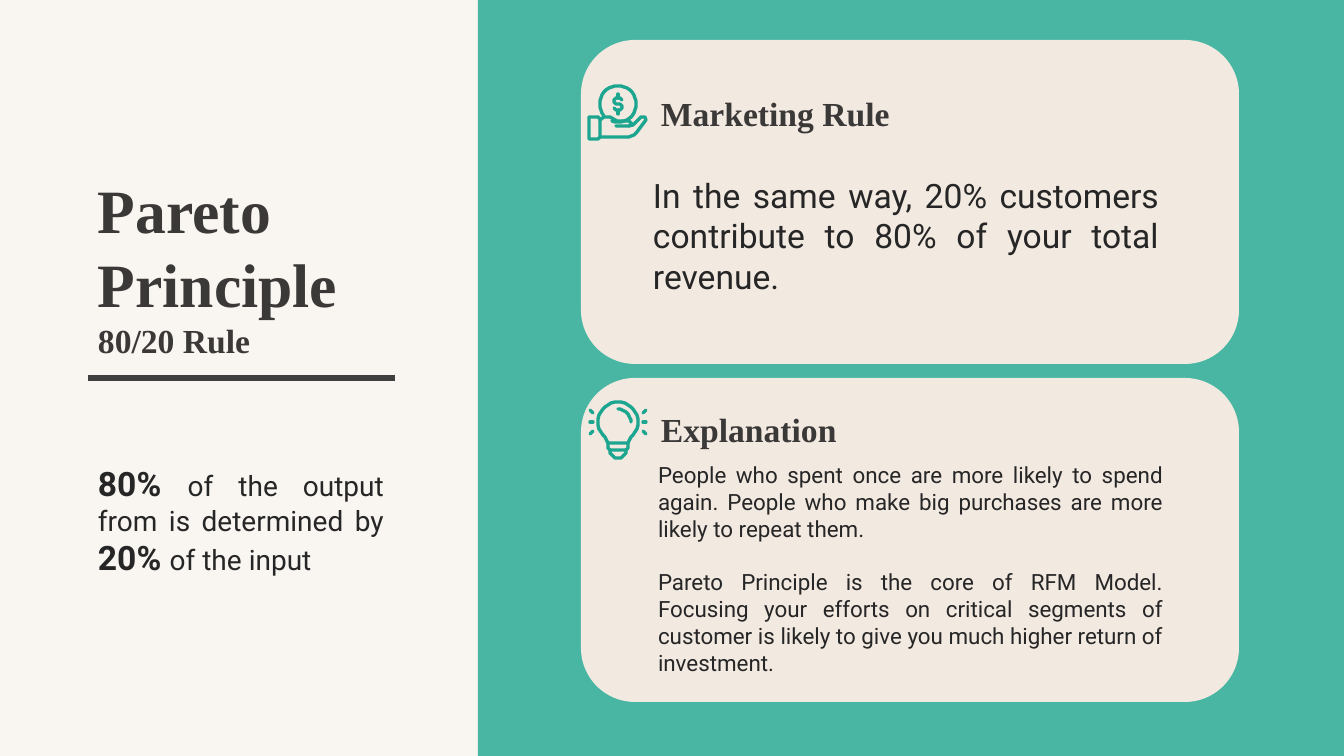
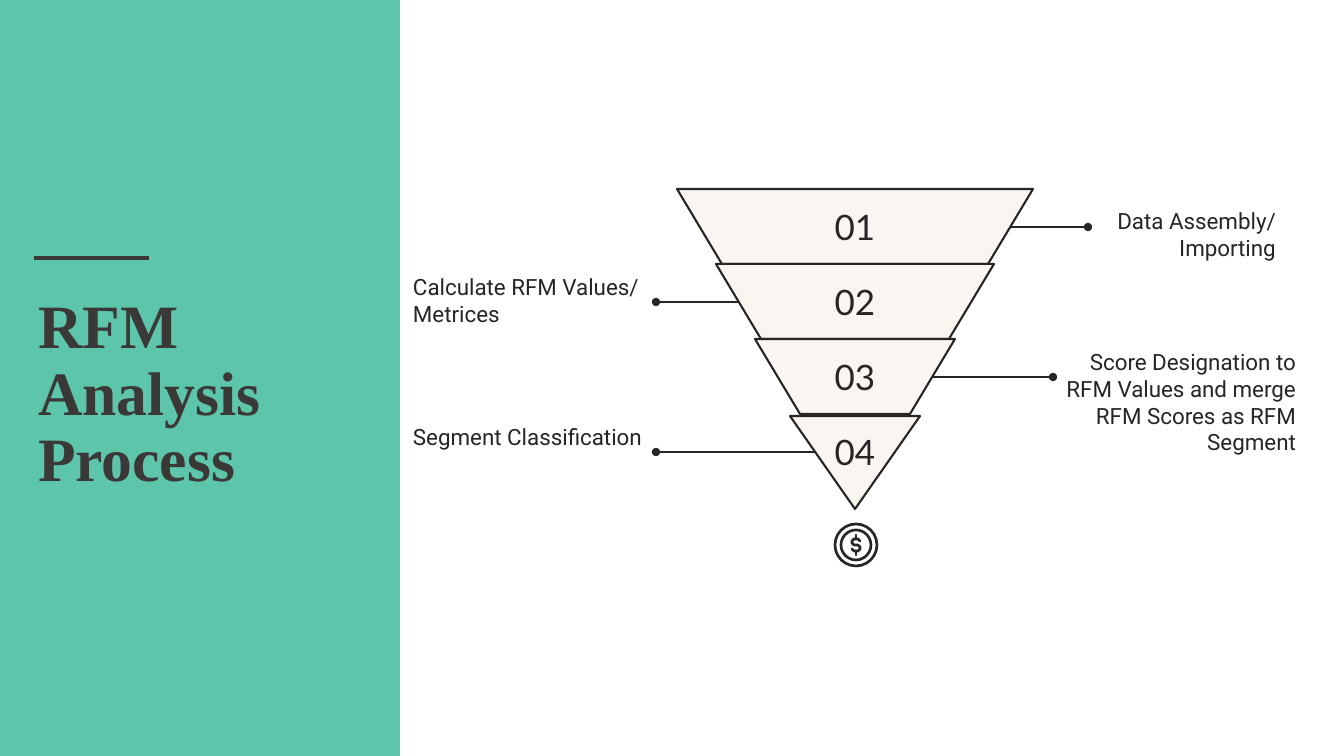
from dataclasses import dataclass
from math import cos, radians, sin
from typing import Callable

from lxml import etree
from pptx import Presentation
from pptx.dml.color import RGBColor
from pptx.enum.shapes import MSO_CONNECTOR, MSO_SHAPE
from pptx.enum.text import MSO_ANCHOR, MSO_AUTO_SIZE, PP_ALIGN
from pptx.oxml.ns import qn
from pptx.slide import Slide
from pptx.util import Emu, Pt

RECTANGLE, ROUNDED = MSO_SHAPE.RECTANGLE, MSO_SHAPE.ROUNDED_RECTANGLE
OVAL, TRIANGLE = MSO_SHAPE.OVAL, MSO_SHAPE.ISOSCELES_TRIANGLE
STRAIGHT = MSO_CONNECTOR.STRAIGHT
LEFT, RIGHT, CENTER, JUSTIFY = (
    PP_ALIGN.LEFT, PP_ALIGN.RIGHT, PP_ALIGN.CENTER, PP_ALIGN.JUSTIFY)
TOP, MIDDLE = MSO_ANCHOR.TOP, MSO_ANCHOR.MIDDLE

WIDTH, HEIGHT = 1344, 756
SCALE = 12192000 / WIDTH

Point = tuple[float, float]
Box = tuple[int, int, int, int]


# Theme
@dataclass(frozen=True)
class Theme:
    cream: str = "F9F6F2"
    white: str = "FFFFFF"
    card: str = "F2E9E1"
    teal: str = "1CA68F"
    mint: str = "35B895"
    heading: str = "3B3838"
    text: str = "262626"
    ink: str = "272625"
    rule: str = "404040"
    title_size: int = 44
    large: int = 24
    medium: int = 20
    small: int = 16
    number_size: int = 25
    outline: float = 1.5
    icon_line: float = 2.4
    coin_line: float = 1.9


THEME = Theme()


@dataclass(frozen=True)
class TextStyle:
    font: str
    size: int
    color: str
    bold: bool = False
    align: PP_ALIGN = LEFT
    anchor: MSO_ANCHOR = TOP
    inset: int = 10
    line_spacing: float = 1.0
    gap: int = 0


TITLE = TextStyle("Times New Roman", THEME.title_size, THEME.heading, True)
SIDE_TITLE = TextStyle("Times New Roman", THEME.title_size, THEME.heading, True,
                       anchor=MIDDLE, line_spacing=0.9)
HEADING = TextStyle("Times New Roman", THEME.large, THEME.heading, True)
LEAD = TextStyle("Roboto", THEME.medium, THEME.text, align=JUSTIFY)
CARD_LARGE = TextStyle("Roboto", THEME.large, THEME.text, align=JUSTIFY)
CARD_SMALL = TextStyle("Roboto", THEME.small, THEME.text, align=JUSTIFY, gap=19)
LABEL_LEFT = TextStyle("Roboto", THEME.small, THEME.text, inset=0)
LABEL_RIGHT = TextStyle("Roboto", THEME.small, THEME.text, align=RIGHT, inset=0)
NUMBER = TextStyle("Lato", THEME.number_size, THEME.ink, align=CENTER, anchor=MIDDLE)


# Drawing helpers
def px(length: float) -> Emu:
    return Emu(round(length * SCALE))


def rgb(color: str) -> RGBColor:
    return RGBColor.from_string(color)


def write(frame, lines: list[str], style: TextStyle) -> None:
    frame.word_wrap = True
    frame.auto_size = MSO_AUTO_SIZE.NONE
    frame.vertical_anchor = style.anchor
    frame.margin_left = frame.margin_right = px(style.inset)
    frame.margin_top = frame.margin_bottom = px(style.inset / 2)
    for index, line in enumerate(lines):
        paragraph = frame.paragraphs[0] if index == 0 else frame.add_paragraph()
        paragraph.text = line
        paragraph.alignment = style.align
        paragraph.line_spacing = style.line_spacing
        paragraph.space_before = Pt(style.gap if index else 0)
        font = paragraph.font
        font.name, font.size, font.bold = style.font, Pt(style.size), style.bold
        font.color.rgb = rgb(style.color)


def add_text(slide: Slide, box: Box, lines: list[str], style: TextStyle) -> None:
    write(slide.shapes.add_textbox(*map(px, box)).text_frame, lines, style)


def fill_placeholder(placeholder, box: Box, lines: list[str], style: TextStyle):
    placeholder.left, placeholder.top, placeholder.width, placeholder.height = map(px, box)
    write(placeholder.text_frame, lines, style)
    return placeholder.text_frame.paragraphs


def paint(shape, fill: str | None, line: str | None = None, width: float = 0) -> None:
    shape.shadow.inherit = False
    if fill:
        shape.fill.solid()
        shape.fill.fore_color.rgb = rgb(fill)
    else:
        shape.fill.background()
    if line:
        shape.line.color.rgb = rgb(line)
        shape.line.width = Pt(width)
    else:
        shape.line.fill.background()


def add_shape(slide: Slide, kind: MSO_SHAPE, box: Box, fill: str | None,
              line: str | None = None, width: float = 0):
    shape = slide.shapes.add_shape(kind, *map(px, box))
    paint(shape, fill, line, width)
    return shape


def add_panel(slide: Slide, box: Box, color: str) -> None:
    panel = add_shape(slide, RECTANGLE, box, color)
    color_element = panel.fill._xPr.find(f".//{qn('a:srgbClr')}")
    etree.SubElement(color_element, qn("a:alpha")).set("val", "80000")
    # Behind the placeholders
    slide.shapes.title._element.addprevious(panel._element)


def add_line(slide: Slide, start: Point, end: Point, color: str, width: float,
             dot: bool = False) -> None:
    line = slide.shapes.add_connector(STRAIGHT, *map(px, (*start, *end)))
    line.line.color.rgb = rgb(color)
    line.line.width = Pt(width)
    if dot:
        etree.SubElement(line.line._get_or_add_ln(), qn("a:headEnd")).set("type", "oval")
    etree.SubElement(line._element.spPr, qn("a:effectLst"))


def add_paths(slide: Slide, paths: list[list[Point]], fill: str | None, line: str,
              width: float, close: bool = False):
    builder = slide.shapes.build_freeform(*paths[0][0], scale=SCALE)
    for index, points in enumerate(paths):
        if index:
            builder.move_to(*points[0])
        builder.add_line_segments(points[1:], close=close)
    shape = builder.convert_to_shape()
    paint(shape, fill, line, width)
    return shape


def set_background(slide: Slide, color: str) -> None:
    slide.background.fill.solid()
    slide.background.fill.fore_color.rgb = rgb(color)


# Icons
def arc(x: int, y: int, radius: int, start: int, end: int) -> list[Point]:
    return [(x + radius * cos(radians(angle)), y + radius * sin(radians(angle)))
            for angle in range(start, end + 1, 10)]


def add_strokes(slide: Slide, strokes: list[list[Point]], color: str,
                width: float = THEME.icon_line) -> None:
    shape = add_paths(slide, strokes, None, color, width)
    line = shape.line._get_or_add_ln()
    line.set("cap", "rnd")
    etree.SubElement(line, qn("a:round"))


def add_dollar(slide: Slide, x: int, y: int, color: str, width: float) -> None:
    curve = [(4, -4), (2, -6), (-2, -6), (-4, -4), (-4, -2), (-2, 0),
             (2, 0), (4, 2), (4, 4), (2, 6), (-2, 6), (-4, 4)]
    strokes = [curve, [(0, -10), (0, -6)], [(0, 6), (0, 10)]]
    moved = [[(x + dx, y + dy) for dx, dy in stroke] for stroke in strokes]
    add_strokes(slide, moved, color, width)


def add_hand_icon(slide: Slide) -> None:
    cuff = [(589, 117), (598, 117), (600, 119), (600, 137), (598, 139), (589, 139), (589, 117)]
    thumb = [(600, 120), (604, 117), (610, 117), (617, 121), (629, 121),
             (632, 124), (629, 126), (616, 126)]
    fingers = [(629, 126), (633, 125), (641, 117), (645, 117), (646, 120),
               (637, 132), (634, 135), (629, 137), (600, 137)]
    coin = arc(618, 104, 18, -220, 110)
    add_strokes(slide, [coin, cuff, thumb, fingers], THEME.teal)
    add_dollar(slide, 618, 104, THEME.teal, THEME.icon_line)


def add_bulb_icon(slide: Slide) -> None:
    x, y = 618, 422
    glass = [(608, 443), *arc(x, y, 20, 130, 410), (628, 443)]
    base = [(608, 443), (608, 448), (610, 450), (626, 450), (628, 448), (628, 443), (608, 443)]
    add_strokes(slide, [glass, base, arc(x, 450, 8, 0, 180)], THEME.teal)
    add_strokes(slide, [arc(x, y, 13, -90, 0)], THEME.teal)
    for side in (-1, 1):
        for inner, outer in ((0, 0), (-9, -12), (9, 12)):
            ray = [(x + side * 25, y + inner), (x + side * 28, y + outer)]
            add_strokes(slide, [ray], THEME.teal)


def add_coin_icon(slide: Slide) -> None:
    x, y = 856, 545
    for radius in (21, 15):
        box = (x - radius, y - radius, 2 * radius, 2 * radius)
        add_shape(slide, OVAL, box, None, THEME.ink, THEME.coin_line)
    add_dollar(slide, x, y, THEME.ink, THEME.coin_line)


# Repeated elements
@dataclass(frozen=True)
class Card:
    top: int
    heading: str
    heading_top: int
    body_box: Box
    body: list[str]
    body_style: TextStyle
    icon: Callable[[Slide], None]


@dataclass(frozen=True)
class Step:
    lines: list[str]
    label_box: Box
    style: TextStyle
    dot_x: int
    tier_x: int


CARDS = [
    Card(40, "Marketing Rule", 88, (643, 170, 526, 132),
         ["In the same way, 20% customers contribute to 80% of your total revenue."],
         CARD_LARGE, add_hand_icon),
    Card(378, "Explanation", 404, (648, 456, 525, 228),
         ["People who spent once are more likely to spend again. "
          "People who make big purchases are more likely to repeat them.",
          "Pareto Principle is the core of RFM Model. Focusing your efforts on critical "
          "segments of customer is likely to give you much higher return of investment."],
         CARD_SMALL, add_bulb_icon),
]
STEPS = [
    Step(["Data Assembly/ Importing"], (1109, 207, 167, 58), LABEL_RIGHT, 1088, 1010),
    Step(["Calculate RFM Values/", "Metrices"], (413, 273, 243, 58), LABEL_LEFT, 656, 740),
    Step(["Score Designation to RFM Values and merge RFM Scores as RFM Segment"],
         (1053, 348, 243, 58), LABEL_RIGHT, 1053, 933),
    Step(["Segment Classification"], (413, 423, 243, 58), LABEL_LEFT, 656, 815),
]
LEAD_RUNS = [("80% ", True), ("of the output from is determined by ", False),
             ("20% ", True), ("of the input", False)]


def add_card(slide: Slide, card: Card) -> None:
    add_shape(slide, ROUNDED, (581, card.top, 658, 324), THEME.card)
    add_text(slide, (651, card.heading_top, 400, 50), [card.heading], HEADING)
    add_text(slide, card.body_box, card.body, card.body_style)
    card.icon(slide)


def add_step(slide: Slide, index: int, step: Step) -> None:
    center, pitch = 855, 75
    top = 189 + index * pitch
    middle = top + 38
    add_line(slide, (step.dot_x, middle), (step.tier_x, middle), THEME.ink, THEME.outline, dot=True)
    if index == len(STEPS) - 1:
        tip = add_shape(slide, TRIANGLE, (center - 65, top + 2, 130, 93),
                        THEME.cream, THEME.ink, THEME.outline)
        tip.rotation = 180
    else:
        upper = 178 - index * 39
        lower = upper - 45
        corners = [(center - upper, top), (center - lower, top + pitch),
                   (center + lower, top + pitch), (center + upper, top)]
        add_paths(slide, [corners], THEME.cream, THEME.ink, THEME.outline, close=True)
    add_text(slide, (center - 50, middle - 31, 100, 62), [f"{index + 1:02d}"], NUMBER)
    add_text(slide, step.label_box, step.lines, step.style)


# Slides
def build_pareto(presentation) -> None:
    slide = presentation.slides.add_slide(presentation.slide_layouts[1])
    set_background(slide, THEME.cream)
    add_panel(slide, (478, 0, WIDTH - 478, HEIGHT), THEME.teal)
    title = fill_placeholder(slide.shapes.title, (88, 167, 380, 207),
                             ["Pareto", "Principle", "80/20 Rule"], TITLE)
    title[-1].font.size = Pt(THEME.large)
    lead = fill_placeholder(slide.placeholders[1], (88, 458, 306, 126), [""], LEAD)[0]
    for text, strong in LEAD_RUNS:
        run = lead.add_run()
        run.text = text
        run.font.bold = strong
        run.font.size = Pt(THEME.large if strong else THEME.medium)
    properties = lead._p.get_or_add_pPr()
    properties.set("marL", "0")
    properties.set("indent", "0")
    properties.find(qn("a:defRPr")).addprevious(etree.Element(qn("a:buNone")))
    add_line(slide, (88, 378), (395, 378), THEME.rule, 4.5)
    for card in CARDS:
        add_card(slide, card)


def build_process(presentation) -> None:
    slide = presentation.slides.add_slide(presentation.slide_layouts[5])
    set_background(slide, THEME.white)
    add_panel(slide, (0, 0, 400, HEIGHT), THEME.mint)
    fill_placeholder(slide.shapes.title, (28, 285, 288, 221),
                     ["RFM", "Analysis", "Process"], SIDE_TITLE)
    add_line(slide, (34, 258), (149, 258), THEME.heading, 3)
    for index, step in enumerate(STEPS):
        add_step(slide, index, step)
    add_coin_icon(slide)


presentation = Presentation()
presentation.slide_width, presentation.slide_height = px(WIDTH), px(HEIGHT)
build_pareto(presentation)
build_process(presentation)
presentation.save("out.pptx")
